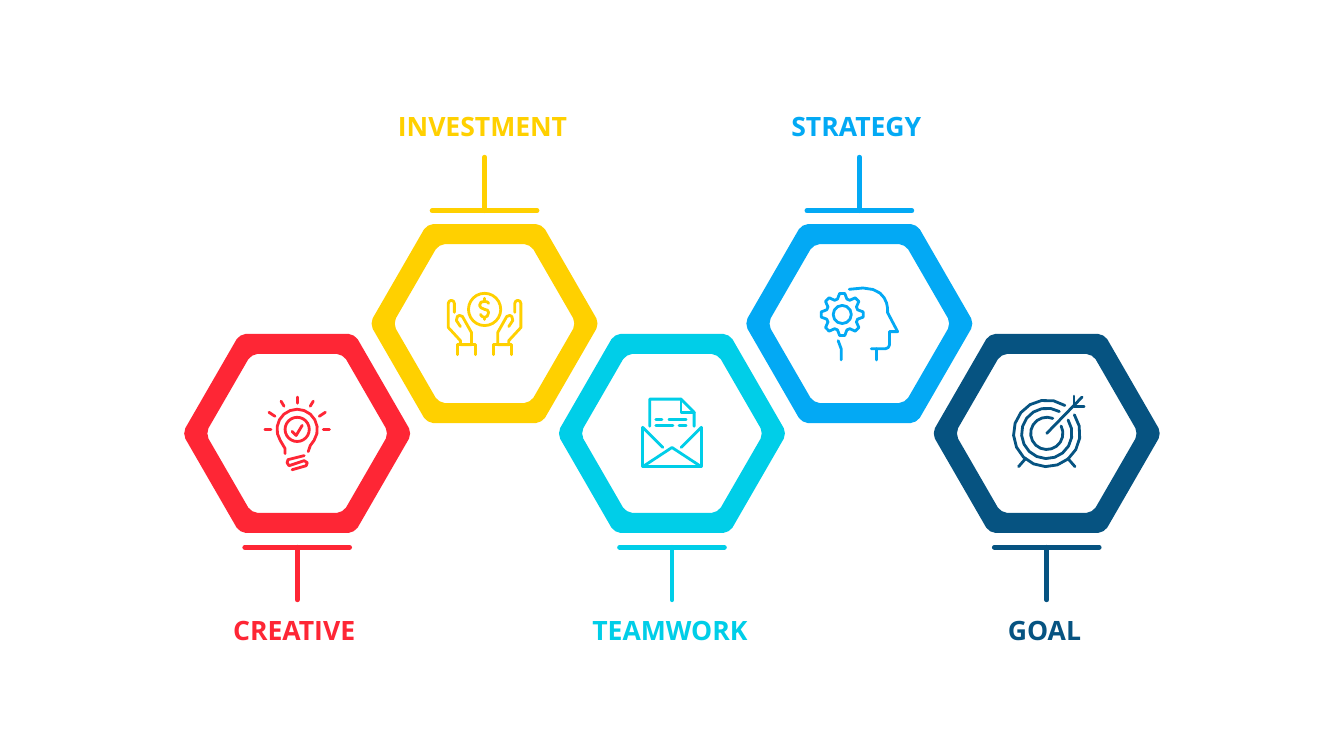
from math import cos, radians, sin

from lxml import etree
from pptx import Presentation
from pptx.dml.color import RGBColor
from pptx.enum.shapes import MSO_CONNECTOR, MSO_SHAPE
from pptx.enum.text import MSO_AUTO_SIZE
from pptx.oxml.ns import qn
from pptx.util import Inches, Pt

STRAIGHT = MSO_CONNECTOR.STRAIGHT
OVAL = MSO_SHAPE.OVAL
FIT_TEXT = MSO_AUTO_SIZE.SHAPE_TO_FIT_TEXT
FIRST_X, STEP_X = 2.95, 1.86
LOWER_Y, UPPER_Y = 4.3, 3.21


def color(hex_string):
    return RGBColor.from_string(hex_string)


def polar(x, y, radius, angle):
    return x + radius * cos(radians(angle)), y + radius * sin(radians(angle))


def arc(x, y, radius, start, end, steps):
    return [polar(x, y, radius, start + (end - start) * i / steps) for i in range(steps + 1)]


def curve(*points, steps=2):
    result = [points[0]]
    for i in range(0, len(points) - 1, 3):
        segment = points[i:i + 4]
        for k in range(1, steps + 1):
            t = k / steps
            weights = ((1 - t) ** 3, 3 * t * (1 - t) ** 2, 3 * t * t * (1 - t), t ** 3)
            result.append(tuple(sum(w * p[axis] for w, p in zip(weights, segment))
                                for axis in (0, 1)))
    return result


def mirrored(*strokes):
    return list(strokes) + [[(-x, y) for x, y in stroke] for stroke in strokes]


def rounded_hexagon(radius, trim=0.06):
    corners = [polar(0, 0, radius, 60 * i) for i in range(6)]
    points = []
    for i, corner in enumerate(corners):
        before, after = corners[i - 1], corners[(i + 1) % 6]

        def toward(other, distance):
            return tuple(c + (o - c) * distance / radius for c, o in zip(corner, other))

        points += curve(toward(before, trim), toward(before, trim / 2),
                        toward(after, trim / 2), toward(after, trim))
    return points


def bulb_icon():
    body = ([(-0.12, 0.2), (-0.12, 0.15)] + arc(0, -0.04, 0.2, 147, 393, 12)
            + [(0.13, 0.12), (0.11, 0.18)])
    base = ([(0.07, 0.22), (-0.09, 0.26), (-0.1, 0.29), (-0.08, 0.32)]
            + [(0.07, 0.27), (0.1, 0.29), (0.09, 0.32), (-0.05, 0.36)])
    rays = mirrored([(0.13, -0.27), (0.16, -0.32)], [(0.22, -0.17), (0.28, -0.21)],
                    [(0.26, -0.04), (0.32, -0.04)])
    check = [(-0.05, -0.02), (-0.01, 0.02), (0.05, -0.08)]
    return [body, base, check, [(0, -0.3), (0, -0.36)]] + rays, [(0, -0.04, 0.12)]


def hands_icon():
    hand = ([(-0.24, 0.03), (-0.28, -0.03), (-0.27, -0.07), (-0.25, -0.08), (-0.22, -0.07)]
            + [(-0.13, 0.09), (-0.13, 0.21), (-0.24, 0.21), (-0.24, 0.17), (-0.36, 0.04)]
            + arc(-0.33, -0.2, 0.03, 180, 360, 4) + [(-0.3, -0.11)])
    cuff = [(-0.09, 0.31), (-0.09, 0.21), (-0.27, 0.21), (-0.27, 0.31)]
    dollar = curve((-0.04, -0.09), (-0.04, -0.08), (-0.02, -0.06), (0, -0.06),
                   (0.02, -0.06), (0.04, -0.08), (0.04, -0.11),
                   (0.04, -0.13), (0.02, -0.14), (0, -0.14),
                   (-0.03, -0.15), (-0.05, -0.16), (-0.05, -0.18),
                   (-0.05, -0.21), (-0.03, -0.22), (0, -0.22),
                   (0.02, -0.22), (0.04, -0.21), (0.04, -0.2))
    ticks = [[(0, -0.22), (0, -0.25)], [(0, -0.04), (0, -0.06)]]
    return mirrored(hand, cuff) + [dollar] + ticks, [(0, -0.14, 0.16)]


def letter_icon():
    flap = mirrored([(0.29, -0.06), (0.09, 0.14)])
    dashes = [[(left, y), (right, y)] for left, right, y in (
        (-0.16, -0.1, -0.14), (-0.03, 0.14, -0.14),
        (-0.16, 0.01, -0.08), (0.07, 0.14, -0.08))]
    return [
        [(0.29, -0.06), (0.29, 0.33), (-0.29, 0.33), (-0.29, -0.06)],
        [(0.29, 0.33), (0, 0.14), (-0.29, 0.33)],
        [(0.22, -0.07), (0.22, -0.21), (0.09, -0.34), (-0.22, -0.34), (-0.22, -0.07)],
        [(0.09, -0.34), (0.09, -0.21), (0.22, -0.21)],
    ] + flap + dashes, []


def head_icon():
    gear_x, gear_y = -0.17, -0.09
    teeth = [polar(gear_x, gear_y, radius, 45 * i + angle) for i in range(8)
             for radius, angle in ((0.16, -17), (0.21, -7), (0.21, 7), (0.16, 17))]
    face = (curve((-0.1, -0.34), (0.32, -0.42), (0.28, -0.11), (0.28, -0.11), steps=8)
            + [(0.38, 0.08), (0.3, 0.08)]
            + curve((0.3, 0.21), (0.3, 0.23), (0.28, 0.25), (0.26, 0.25))
            + [(0.12, 0.25)])
    neck = [[(0.17, 0.25), (0.17, 0.36)], [(-0.18, 0.36), (-0.18, 0.25), (-0.21, 0.17)]]
    return [face, teeth + teeth[:1]] + neck, [(gear_x, gear_y, 0.09)]


def target_icon():
    rings = [arc(0, 0, radius, start, end, 16) for radius, start, end in (
        (0.33, -34, 303), (0.25, -32, 300), (0.16, -27, 292))]
    arrow = [[(0, 0), (0.35, -0.36)], [(0.27, -0.37), (0.27, -0.27), (0.37, -0.27)]]
    return rings + arrow + mirrored([(0.28, 0.33), (0.21, 0.25)]), []


def add_outline(slide, x, y, strokes, close):
    placed = [[(Inches(x + dx), Inches(y + dy)) for dx, dy in stroke] for stroke in strokes]
    builder = slide.shapes.build_freeform(*placed[0][0])
    for i, stroke in enumerate(placed):
        if i:
            builder.move_to(*stroke[0])
        builder.add_line_segments(stroke[1:], close=close)
    shape = builder.convert_to_shape()
    shape.shadow.inherit = False
    return shape


def style_line(shape, hex_string, width):
    shape.line.color.rgb = color(hex_string)
    shape.line.width = Pt(width)
    shape.element.spPr.find(qn("a:ln")).set("cap", "rnd")


def add_ring(slide, x, y, hex_string):
    hole = rounded_hexagon(0.91)[::-1]
    ring = add_outline(slide, x, y, [rounded_hexagon(1.14), hole], True)
    ring.fill.solid()
    ring.fill.fore_color.rgb = color(hex_string)
    ring.line.fill.background()


def add_icon(slide, x, y, strokes, circles, hex_string):
    parts = [add_outline(slide, x, y, strokes, False)]
    for dx, dy, radius in circles:
        circle = slide.shapes.add_shape(OVAL, Inches(x + dx - radius), Inches(y + dy - radius),
                                        Inches(2 * radius), Inches(2 * radius))
        circle.shadow.inherit = False
        parts.append(circle)
    for part in parts:
        part.fill.background()
        style_line(part, hex_string, 2)


def add_bracket(slide, x, bar_y, tip_y, hex_string):
    group = slide.shapes.add_group_shape()
    for ends in ((x, bar_y, x, tip_y), (x - 0.52, bar_y, x + 0.52, bar_y)):
        line = group.shapes.add_connector(STRAIGHT, *map(Inches, ends))
        style_line(line, hex_string, 3.5)
        etree.SubElement(line.element.spPr, qn("a:effectLst"))


def add_label(slide, x, y, width, text, hex_string):
    box = slide.shapes.add_textbox(Inches(x - width / 2), Inches(y), Inches(width), Inches(0.32))
    frame = box.text_frame
    frame.margin_left = frame.margin_top = frame.margin_right = frame.margin_bottom = 0
    frame.word_wrap = False
    frame.auto_size = FIT_TEXT
    frame.text = text
    font = frame.paragraphs[0].runs[0].font
    font.name, font.size, font.bold = "Open Sans", Pt(19), True
    font.color.rgb = color(hex_string)


def main():
    presentation = Presentation()
    presentation.slide_width, presentation.slide_height = Inches(13.34), Inches(7.5)
    slide = presentation.slides.add_slide(presentation.slide_layouts[6])
    steps = (("CREATIVE", 1.23, "FE2635", bulb_icon), ("INVESTMENT", 1.68, "FFD000", hands_icon),
             ("TEAMWORK", 1.54, "00CEE8", letter_icon), ("STRATEGY", 1.31, "03A9F4", head_icon),
             ("GOAL", 0.73, "065381", target_icon))
    for i, (text, label_width, hex_string, icon) in enumerate(steps):
        x = FIRST_X + STEP_X * i
        y, bar_y, tip_y, label_y = ((UPPER_Y, 2.09, 1.56, 1.09) if i % 2
                                    else (LOWER_Y, 5.43, 5.95, 6.09))
        add_ring(slide, x, y, hex_string)
        add_bracket(slide, x, bar_y, tip_y, hex_string)
        add_label(slide, x - 0.02, label_y, label_width, text, hex_string)
        add_icon(slide, x, y, *icon(), hex_string)
    presentation.save("out.pptx")


if __name__ == "__main__":
    main()
